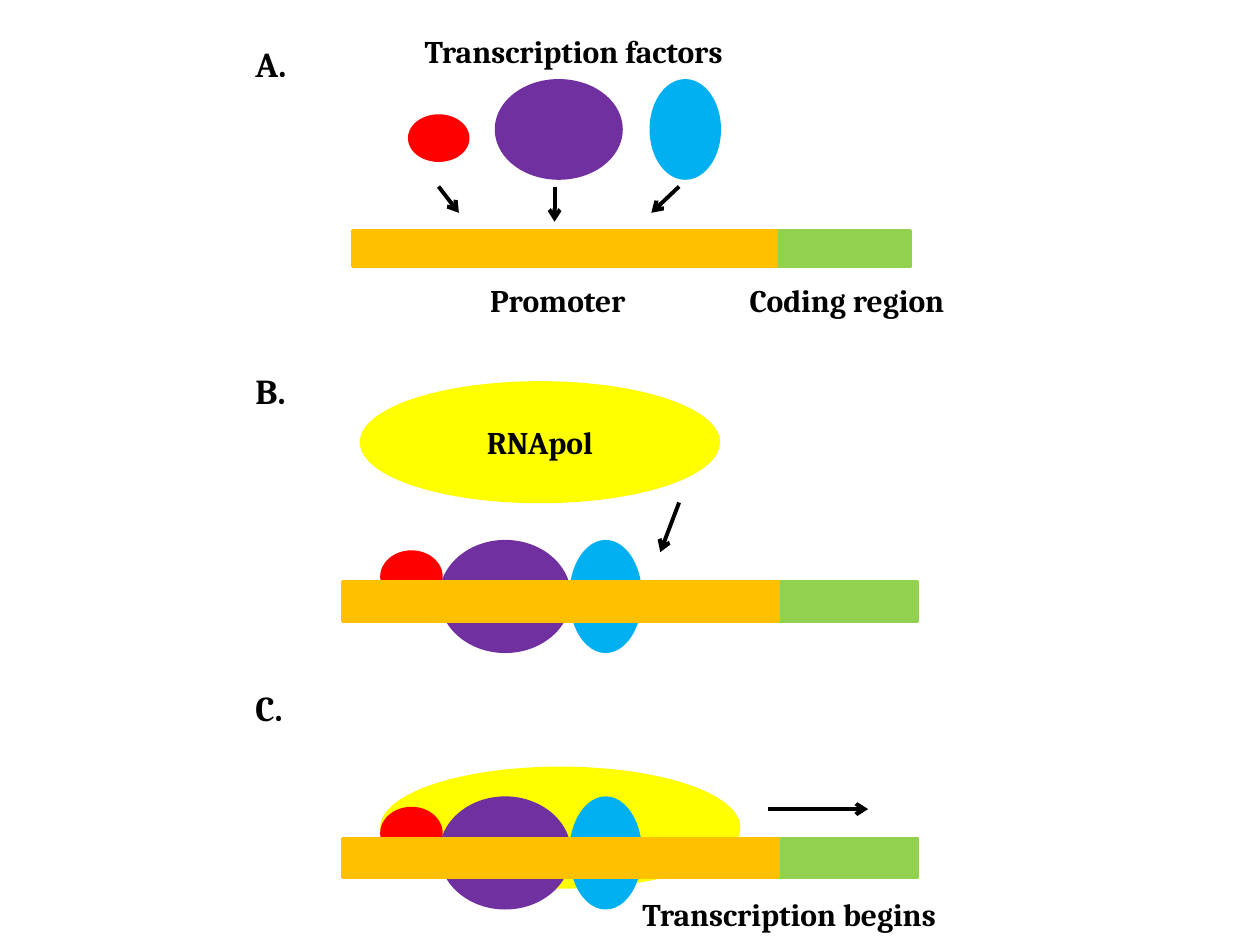
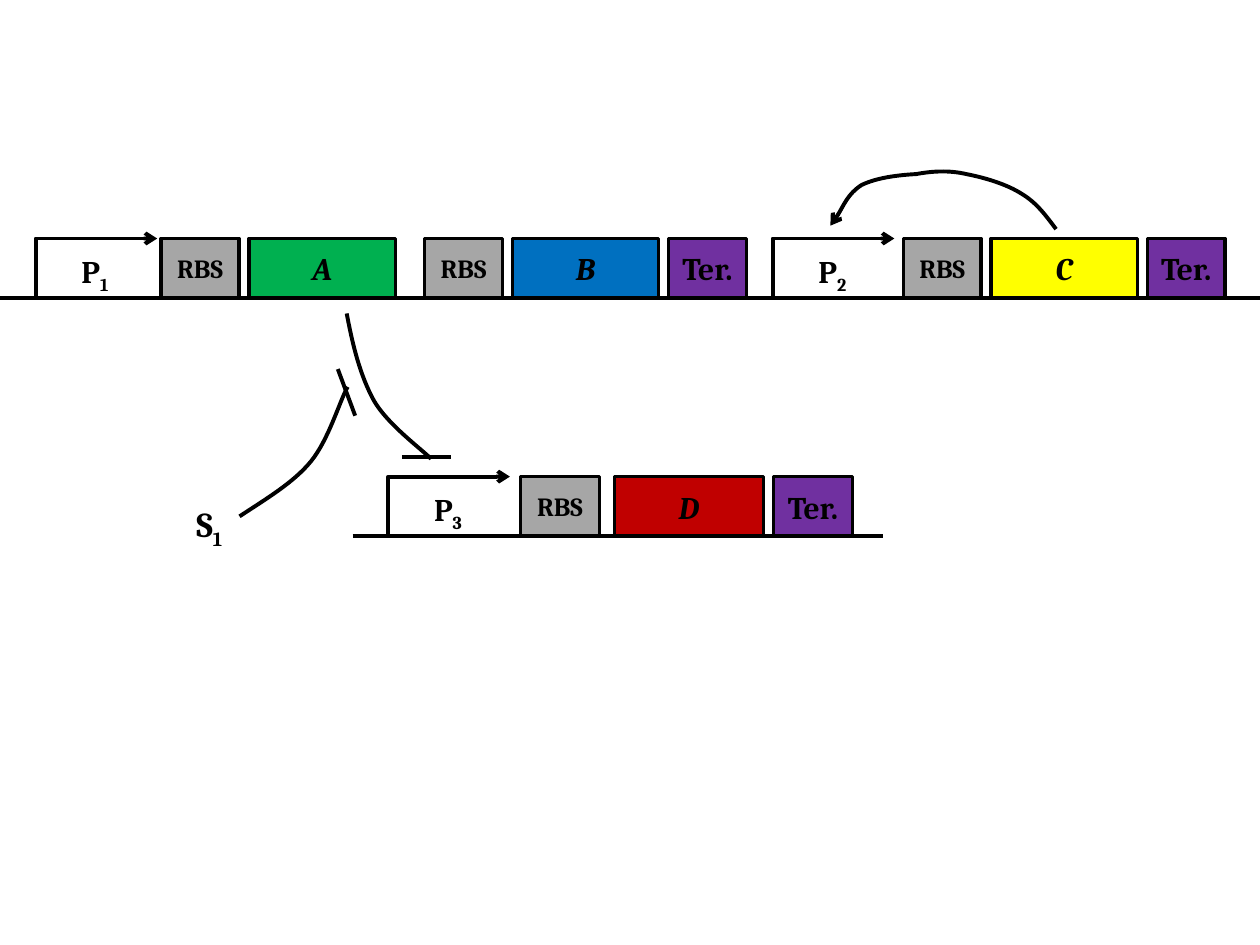
from lxml.etree import SubElement
from pptx import Presentation
from pptx.dml.color import RGBColor
from pptx.enum.shapes import MSO_CONNECTOR, MSO_SHAPE
from pptx.enum.text import MSO_ANCHOR, PP_ALIGN
from pptx.oxml.ns import qn
from pptx.util import Cm, Pt

FONT = "Cambria"
BLACK = "000000"
RED = "FF0000"
PURPLE = "7030A0"
SKY = "00B0F0"
ORANGE = "FFC000"
LIME = "92D050"
YELLOW = "FFFF00"
GREY = "A6A6A6"
GREEN = "00B050"
BLUE = "0070C0"
CRIMSON = "C00000"

PART_HEIGHT = 1.2
PART_GAP = 0.2


def colour(value):
    """Turn a hex string into a colour."""
    return RGBColor.from_string(value)


def write(frame, text, size, subscript="", italic=False):
    """Write one bold paragraph, with an optional subscript at its end."""
    frame.word_wrap = True
    paragraph = frame.paragraphs[0]
    font = paragraph.font
    font.name, font.size = FONT, Pt(size)
    font.bold, font.italic = True, italic
    font.color.rgb = colour(BLACK)
    paragraph.add_run().text = text
    if subscript:
        span = paragraph.add_run()
        span.text = subscript
        span._r.get_or_add_rPr().set("baseline", "-25000")
    return paragraph


def add_label(page, text, left, top, width, height, size=18, subscript=""):
    """Add free-standing text."""
    box = page.shapes.add_textbox(Cm(left), Cm(top), Cm(width), Cm(height))
    write(box.text_frame, text, size, subscript)


def add_block(page, kind, left, top, width, height, fill, outline=None,
              text="", size=18, italic=False):
    """Add a filled preset shape with optional centred text."""
    block = page.shapes.add_shape(kind, Cm(left), Cm(top), Cm(width), Cm(height))
    block.shadow.inherit = False
    block.fill.solid()
    block.fill.fore_color.rgb = colour(fill)
    block.line.color.rgb = colour(outline or fill)
    block.line.width = Pt(2)
    if text:
        block.text_frame.vertical_anchor = MSO_ANCHOR.MIDDLE
        write(block.text_frame, text, size, italic=italic).alignment = PP_ALIGN.CENTER


def add_ellipse(page, *args, **options):
    """Add an ellipse."""
    add_block(page, MSO_SHAPE.OVAL, *args, **options)


def add_rectangle(page, *args, **options):
    """Add a rectangle."""
    add_block(page, MSO_SHAPE.RECTANGLE, *args, **options)


def style_stroke(shape, arrow):
    """Give a line or curve its black stroke and optional arrowhead."""
    shape.line.color.rgb = colour(BLACK)
    shape.line.width = Pt(2.25)
    if arrow:
        SubElement(shape.line._get_or_add_ln(), qn("a:tailEnd"), type="arrow")


def add_line(page, start, end, arrow=False, kind=MSO_CONNECTOR.STRAIGHT):
    """Add a connector between two points."""
    line = page.shapes.add_connector(kind, *map(Cm, start), *map(Cm, end))
    style_stroke(line, arrow)
    SubElement(line._element.spPr, qn("a:effectLst"))
    return line


def add_curve(page, points, arrow=False):
    """Add an open Bezier curve: a start, then three points per segment."""
    start, *rest = [(Cm(x), Cm(y)) for x, y in points]
    builder = page.shapes.build_freeform(*start)
    builder.add_line_segments(rest, close=False)
    curve = builder.convert_to_shape()
    curve.shadow.inherit = False
    curve.fill.background()
    style_stroke(curve, arrow)
    outline = curve._element.xpath(".//a:path")[0]
    steps = outline.findall(qn("a:lnTo"))
    for first in range(0, len(steps), 3):
        segment = SubElement(outline, qn("a:cubicBezTo"))
        for step in steps[first:first + 3]:
            segment.append(step[0])
            outline.remove(step)


def add_gene_bar(page, left, top, promoter, coding, height):
    """Add a coding region with its promoter in front."""
    add_rectangle(page, left + promoter, top, coding, height, LIME)
    add_rectangle(page, left, top, promoter, height, ORANGE)


def add_bound_promoter(page, top):
    """Add a gene bar with the three factors bound behind it."""
    add_ellipse(page, 7.7, top - 0.6, 1.19, 0.99, RED)
    add_ellipse(page, 8.89, top - 0.81, 2.59, 2.21, PURPLE)
    add_ellipse(page, 11.51, top - 0.81, 1.4, 2.21, SKY)
    add_gene_bar(page, 6.91, top, 8.79, 2.79, 0.79)


def add_promoter(page, left, top, number):
    """Add a numbered promoter with its bent arrow."""
    bend = add_line(page, (left, top + PART_HEIGHT), (left + 2.38, top),
                    arrow=True, kind=MSO_CONNECTOR.ELBOW)
    adjustments = bend._element.xpath(".//a:avLst")[0]
    SubElement(adjustments, qn("a:gd"), name="adj1", fmla="val -2900")
    add_label(page, "P", left + 0.6, top + 0.15, 1.38, 0.76, subscript=number)


def add_cassette(page, left, top, gene, fill, terminated=True,
                 small=1.57, large=2.95, lead=PART_GAP):
    """Add a binding site, a gene and, if wanted, a terminator."""
    parts = [("RBS", GREY, small, lead, 15), (gene, fill, large, PART_GAP, 18)]
    if terminated:
        parts.append(("Ter.", PURPLE, small, 0, 18))
    for text, shade, width, gap, size in parts:
        add_rectangle(page, left, top, width, PART_HEIGHT, shade, outline=BLACK,
                      text=text, size=size, italic=text == gene)
        left += width + gap


def draw_transcription(page):
    """Draw the three stages of transcription initiation."""
    for letter, top in (("A.", 0.74), ("B.", 7.32), ("C.", 13.72)):
        add_label(page, letter, 4.9, top, 1.4, 1.12, size=20)

    add_label(page, "Transcription factors", 8.31, 0.53, 6.81, 1.8)
    add_ellipse(page, 8.26, 2.34, 1.17, 0.89, RED)
    add_ellipse(page, 10.01, 1.63, 2.51, 1.96, PURPLE)
    add_ellipse(page, 13.13, 1.63, 1.37, 1.96, SKY)
    for start, end in (((8.84, 3.76), (9.25, 4.29)),
                       ((11.18, 3.76), (11.18, 4.47)),
                       ((13.69, 3.76), (13.13, 4.29))):
        add_line(page, start, end, arrow=True)
    add_gene_bar(page, 7.11, 4.65, 8.53, 2.72, 0.71)
    add_label(page, "Promoter", 9.63, 5.54, 4.67, 1.8)
    add_label(page, "Coding region", 14.86, 5.54, 5.64, 1.02)

    add_bound_promoter(page, 11.73)
    add_ellipse(page, 7.29, 7.72, 7.19, 2.39, YELLOW, text="RNApol")
    add_line(page, (13.69, 10.13), (13.31, 11.13), arrow=True)

    add_ellipse(page, 7.7, 15.49, 7.19, 2.39, YELLOW)
    add_bound_promoter(page, 16.9)
    add_line(page, (15.49, 16.31), (17.5, 16.31), arrow=True)
    add_label(page, "Transcription begins", 12.7, 17.91, 7.59, 1.02)


def draw_circuit(page):
    """Draw the gene circuit with its regulation."""
    upper, lower = 4.81, 9.61
    add_line(page, (0, upper + PART_HEIGHT), (25.4, upper + PART_HEIGHT))
    add_promoter(page, 0.79, upper, "1")
    add_cassette(page, 3.25, upper, "A", GREEN, terminated=False)
    add_cassette(page, 8.56, upper, "B", BLUE)
    add_promoter(page, 15.65, upper, "2")
    add_cassette(page, 18.21, upper, "C", YELLOW)

    add_line(page, (7.11, lower + PART_HEIGHT), (17.81, lower + PART_HEIGHT))
    add_promoter(page, 7.9, lower, "3")
    add_cassette(page, 10.49, lower, "D", CRIMSON, small=1.6, large=3, lead=0.3)

    add_curve(page, [(6.99, 6.32), (7.11, 6.96), (7.26, 7.57), (7.54, 8.08),
                     (7.82, 8.56), (8.48, 9.04), (8.69, 9.25)])
    add_line(page, (8.1, 9.22), (9.09, 9.22))
    add_label(page, "S", 3.71, 10.01, 2.01, 1.12, size=20, subscript="1")
    add_curve(page, [(4.83, 10.41), (5.36, 10.06), (5.92, 9.73), (6.27, 9.3),
                     (6.63, 8.86), (6.86, 8.05), (7.01, 7.8)])
    add_line(page, (7.16, 8.38), (6.81, 7.44))
    add_curve(page, [(21.29, 4.62), (21.08, 4.34), (20.9, 4.09), (20.6, 3.91),
                     (20.29, 3.71), (19.84, 3.58), (19.48, 3.51),
                     (19.13, 3.43), (18.8, 3.45), (18.47, 3.51),
                     (18.11, 3.53), (17.68, 3.58), (17.37, 3.73),
                     (17.09, 3.91), (16.87, 4.42), (16.74, 4.55)], arrow=True)


def main():
    """Build and save the deck."""
    deck = Presentation()
    deck.slide_width, deck.slide_height = Cm(25.4), Cm(19.05)
    for draw in (draw_transcription, draw_circuit):
        draw(deck.slides.add_slide(deck.slide_layouts[6]))
    deck.save("out.pptx")


main()
